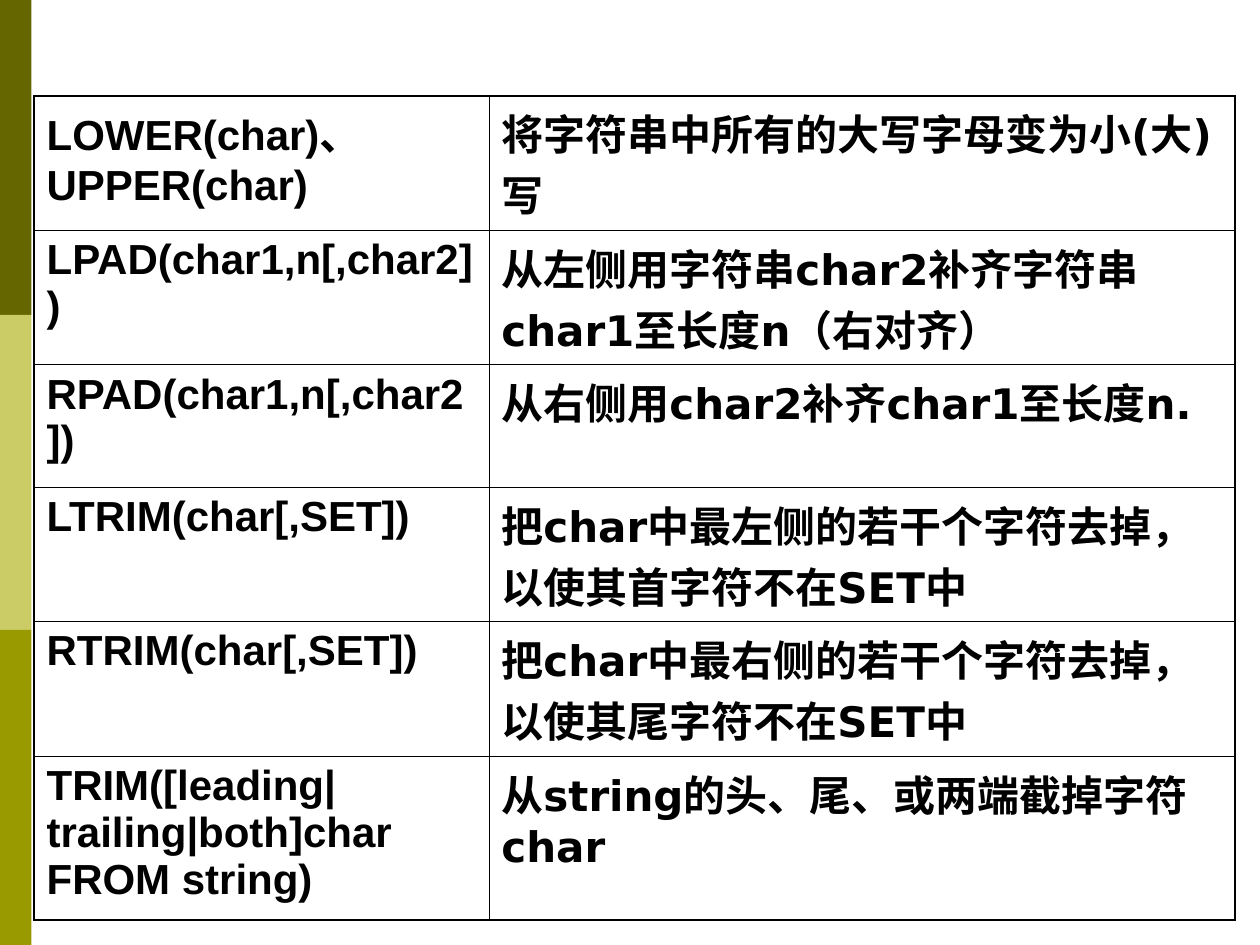
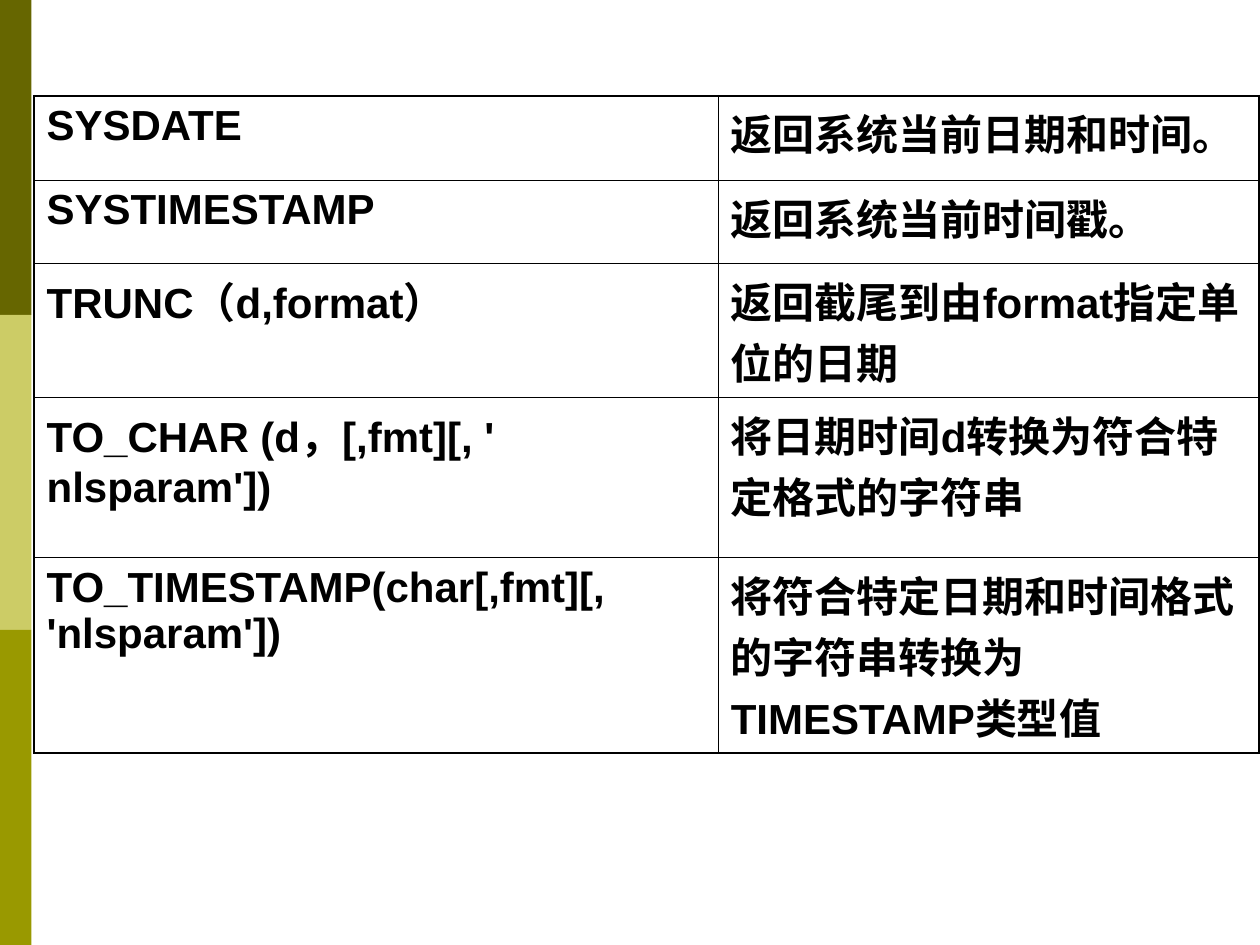
from lxml import etree
from pptx import Presentation
from pptx.dml.color import RGBColor
from pptx.enum import lang, shapes
from pptx.oxml.ns import qn
from pptx.util import Inches, Pt

BLACK = RGBColor(0x00, 0x00, 0x00)
BAND_COLOURS = [RGBColor(0x66, 0x66, 0x00), RGBColor(0xCC, 0xCC, 0x66),
                RGBColor(0x99, 0x99, 0x00)]
OUTER, INNER = Pt(1.08), Pt(0.45)
TABLE_LEFT, TABLE_TOP = Inches(0.27), Inches(0.76)

# Each slide: column widths, font of each column, rows of (height, function, meaning)
FUNCTION_TABLES = [
    ((3.61, 5.92), ("Arial", "DejaVu Sans"), [
        (0.96, "LOWER(char)、UPPER(char)", "将字符串中所有的大写字母变为小(大)写"),
        (0.96, "LPAD(char1,n[,char2])", "从左侧用字符串char2补齐字符串char1至长度n（右对齐）"),
        (0.9, "RPAD(char1,n[,char2])", "从右侧用char2补齐char1至长度n."),
        (1.01, "LTRIM(char[,SET])", "把char中最左侧的若干个字符去掉，以使其首字符不在SET中"),
        (0.96, "RTRIM(char[,SET])", "把char中最右侧的若干个字符去掉，以使其尾字符不在SET中"),
        (1.3, "TRIM([leading|trailing|both]char FROM string)",
         "从string的头、尾、或两端截掉字符char"),
    ]),
    ((5.43, 4.29), ("Arial", "Arial"), [
        (0.67, "SYSDATE", "返回系统当前日期和时间。"),
        (0.66, "SYSTIMESTAMP", "返回系统当前时间戳。"),
        (0.9, "TRUNC（d,format）", "返回截尾到由format指定单位的日期"),
        (1.27, "TO_CHAR (d，[,fmt][, ' nlsparam'])", "将日期时间d转换为符合特定格式的字符串"),
        (1.3, "TO_TIMESTAMP(char[,fmt][, 'nlsparam'])",
         "将符合特定日期和时间格式的字符串转换为TIMESTAMP类型值"),
    ]),
]


def set_borders(cell, widths):
    """Draw black cell borders; widths are left, right, top, bottom."""
    properties = cell._tc.get_or_add_tcPr()
    for index, (side, width) in enumerate(zip(("lnL", "lnR", "lnT", "lnB"), widths)):
        line = etree.Element(qn(f"a:{side}"), w=str(int(width)))
        fill = etree.SubElement(line, qn("a:solidFill"))
        etree.SubElement(fill, qn("a:srgbClr"), val=str(BLACK))
        properties.insert(index, line)


deck = Presentation()
deck.slide_width, deck.slide_height = Inches(10), Inches(7.5)
band_width, band_height = deck.slide_width // 40, deck.slide_height // 3

for widths, fonts, rows in FUNCTION_TABLES:
    slide = deck.slides.add_slide(deck.slide_layouts[6])

    for index, colour in enumerate(BAND_COLOURS):
        band = slide.shapes.add_shape(shapes.MSO_SHAPE.RECTANGLE, 0, index * band_height,
                                      band_width, band_height)
        band.shadow.inherit = False
        band.fill.solid()
        band.fill.fore_color.rgb = colour
        band.line.fill.background()

    height = sum(row[0] for row in rows)
    table = slide.shapes.add_table(len(rows), len(widths), TABLE_LEFT, TABLE_TOP,
                                   Inches(sum(widths)), Inches(height)).table
    table.first_row = table.horz_banding = False
    for column, width in zip(table.columns, widths):
        column.width = Inches(width)

    last_row, last_column = len(rows) - 1, len(widths) - 1
    for r, (row_height, *wording) in enumerate(rows):
        table.rows[r].height = Inches(row_height)
        for c, (words, font_name) in enumerate(zip(wording, fonts)):
            cell = table.cell(r, c)
            cell.fill.background()
            edges = (c == 0, c == last_column, r == 0, r == last_row)
            set_borders(cell, [OUTER if edge else INNER for edge in edges])
            cell.text_frame.text = words
            font = cell.text_frame.paragraphs[0].runs[0].font
            font.name, font.size, font.bold = font_name, Pt(24), True
            font.color.rgb = BLACK
            font.language_id = lang.MSO_LANGUAGE_ID.SIMPLIFIED_CHINESE

deck.save("out.pptx")
